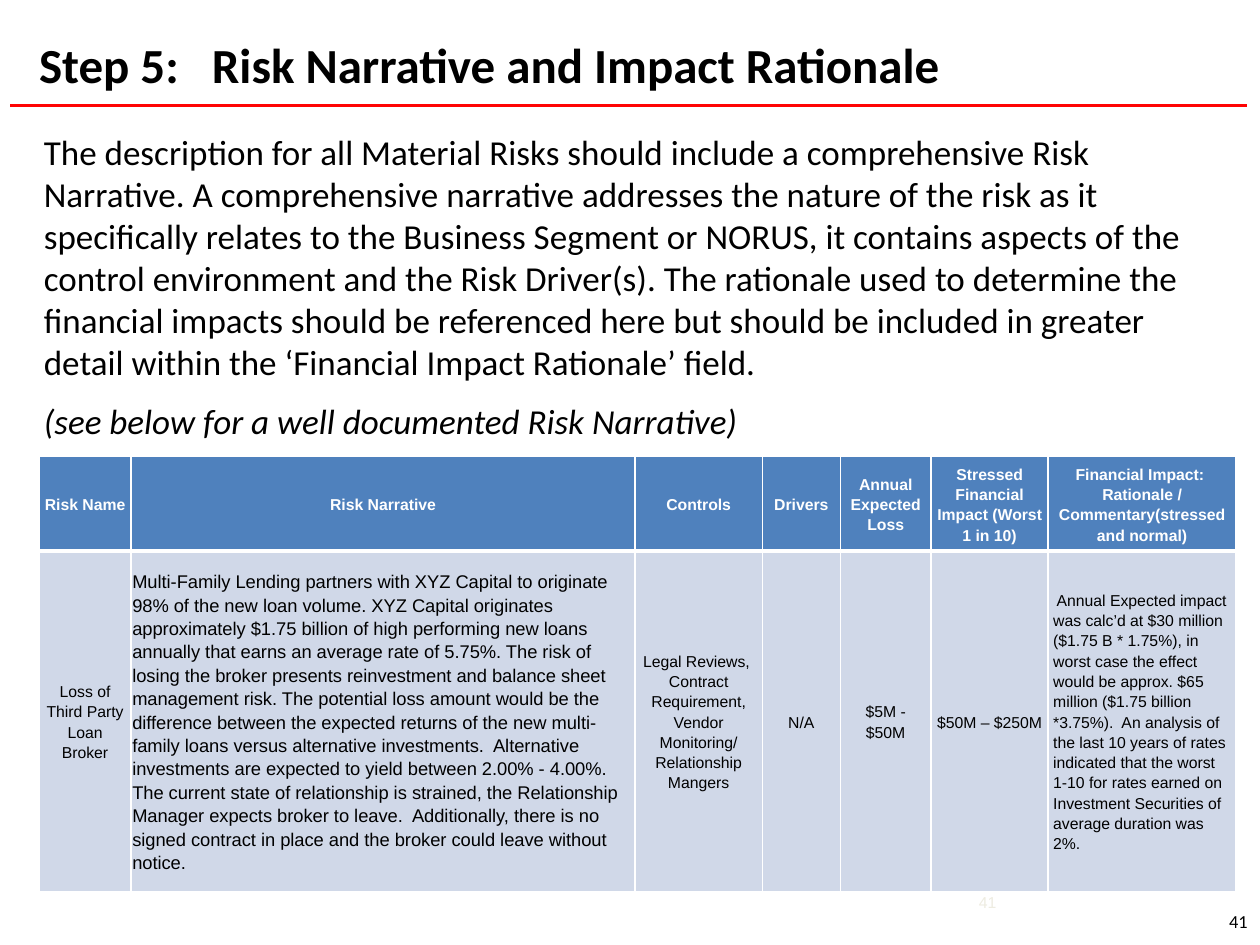
from dataclasses import dataclass

from lxml.etree import SubElement
from pptx import Presentation
from pptx.dml.color import RGBColor
from pptx.enum.shapes import MSO_CONNECTOR as Connector
from pptx.enum.text import MSO_ANCHOR as Anchor, MSO_AUTO_SIZE as AutoSize, PP_ALIGN as Align
from pptx.oxml.ns import qn
from pptx.util import Inches, Pt


@dataclass(frozen=True)
class Theme:
    black: str = "000000"
    white: str = "FFFFFF"
    rule: str = "FF0303"
    header: str = "4F81BD"
    body: str = "D0D8E8"
    faint: str = "EEECE1"
    heading_font: str = "Calibri"
    table_font: str = "Arial"
    title_size: float = 28
    text_size: float = 20
    narrative_size: float = 10.5
    cell_size: float = 9


THEME = Theme()
WIDTH, HEIGHT = 10, 7.5
TITLE_ONLY = 5
COLUMNS = (0.73, 4, 1.01, 0.62, 0.72, 0.93, 1.49)
ROWS = (0.73, 2.7)

INTRO = (
    "The description for all Material Risks should include a comprehensive Risk Narrative. "
    "A comprehensive narrative addresses the nature of the risk as it specifically relates to "
    "the Business Segment or NORUS, it contains aspects of the control environment and the Risk "
    "Driver(s). The rationale used to determine the financial impacts should be referenced here "
    "but should be included in greater detail within the ‘Financial Impact Rationale’ field."
)
HEADERS = (
    "Risk Name ", "Risk Narrative", "Controls", "Drivers", "Annual Expected Loss",
    "Stressed Financial Impact (Worst 1 in 10)",
    "Financial Impact:  Rationale / Commentary(stressed and normal)",
)
NARRATIVE = (
    "Multi-Family Lending partners with XYZ Capital to originate 98% of the new loan volume. "
    "XYZ Capital originates approximately $1.75 billion of high performing new loans annually "
    "that earns an average rate of 5.75%. The risk of losing the broker presents reinvestment "
    "and balance sheet management risk. The potential loss amount would be the difference "
    "between the expected returns of the new multi-family loans versus alternative investments.  "
    "Alternative investments are expected to yield between 2.00% - 4.00%.  The current state of "
    "relationship is strained, the Relationship Manager expects broker to leave.  Additionally, "
    "there is no signed contract in place and the broker could leave without notice. "
)
RATIONALE = (
    " Annual Expected impact was calc’d at $30 million ($1.75 B * 1.75%), in worst case the "
    "effect would be approx. $65 million ($1.75 billion *3.75%).  An analysis of the last 10 "
    "years of rates indicated that the worst 1-10 for rates earned on Investment Securities of "
    "average duration was 2%."
)
CONTROLS = "Legal Reviews, \nContract Requirement, Vendor Monitoring/ Relationship Mangers"
RISK = (
    ("Loss of Third Party Loan Broker", dict(after=10)),
    (NARRATIVE, dict(size=THEME.narrative_size, align=Align.LEFT, margin=0.01)),
    (CONTROLS, {}),
    ("N/A", dict(after=10)),
    ("$5M - $50M", dict(after=10)),
    ("$50M – $250M", dict(after=10)),
    (RATIONALE, dict(align=Align.LEFT)),
)


def write(paragraph, text, size=THEME.text_size, font=THEME.heading_font, color=THEME.black,
          bold=False, italic=False, align=Align.LEFT, before=0, after=0, spacing=1.0):
    paragraph.alignment = align
    paragraph.space_before, paragraph.space_after = Pt(before), Pt(after)
    paragraph.line_spacing = spacing
    run = paragraph.add_run()
    run.text = text
    run.font.size, run.font.name = Pt(size), font
    run.font.bold, run.font.italic = bold, italic
    run.font.color.rgb = RGBColor.from_string(color)


def place(left, top, width, height):
    return (Inches(left * WIDTH), Inches(top * HEIGHT),
            Inches(width * WIDTH), Inches(height * HEIGHT))


def add_title(slide, text):
    title = slide.shapes.title
    title.left, title.top, title.width, title.height = place(0.021, 0.03, 0.9, 0.045)
    frame = title.text_frame
    frame.auto_size, frame.vertical_anchor = AutoSize.NONE, Anchor.TOP
    write(frame.paragraphs[0], text, size=THEME.title_size, bold=True)


def add_rule(slide, left, right, top):
    line = slide.shapes.add_connector(
        Connector.STRAIGHT, Inches(left * WIDTH), Inches(top * HEIGHT),
        Inches(right * WIDTH), Inches(top * HEIGHT))
    line.line.color.rgb = RGBColor.from_string(THEME.rule)
    line.line.width = Pt(1.5)
    SubElement(line._element.spPr, qn("a:effectLst"))


def add_text(slide, box, paragraphs, anchor=Anchor.TOP):
    frame = slide.shapes.add_textbox(*place(*box)).text_frame
    frame.word_wrap, frame.vertical_anchor = True, anchor
    for index, (text, options) in enumerate(paragraphs):
        paragraph = frame.add_paragraph() if index else frame.paragraphs[0]
        write(paragraph, text, **options)


def set_borders(cell, top, bottom):
    properties = cell._tc.get_or_add_tcPr()
    for side, width in (("L", 1), ("R", 1), ("T", top), ("B", bottom)):
        line = SubElement(properties, qn(f"a:ln{side}"), w=str(Pt(width)))
        fill = SubElement(line, qn("a:solidFill"))
        SubElement(fill, qn("a:srgbClr"), val=THEME.white)


def fill_cell(cell, text, fill, borders, margin=0.04, **options):
    set_borders(cell, *borders)
    cell.fill.solid()
    cell.fill.fore_color.rgb = RGBColor.from_string(fill)
    cell.vertical_anchor = Anchor.MIDDLE
    cell.margin_left = cell.margin_right = cell.margin_top = cell.margin_bottom = Inches(margin)
    style = dict(size=THEME.cell_size, font=THEME.table_font, align=Align.CENTER, spacing=1.15)
    for index, part in enumerate(text.split("\n")):
        paragraph = cell.text_frame.add_paragraph() if index else cell.text_frame.paragraphs[0]
        write(paragraph, part, **(style | options))


def add_risk_table(slide, left, top):
    table = slide.shapes.add_table(
        len(ROWS), len(COLUMNS), Inches(left * WIDTH), Inches(top * HEIGHT),
        Inches(sum(COLUMNS)), Inches(sum(ROWS))).table
    for column, width in zip(table.columns, COLUMNS):
        column.width = Inches(width)
    for row, height in zip(table.rows, ROWS):
        row.height = Inches(height)
    for index, (header, (text, options)) in enumerate(zip(HEADERS, RISK)):
        fill_cell(table.cell(0, index), header, THEME.header, (1, 3), margin=0.03,
                  color=THEME.white, bold=True)
        fill_cell(table.cell(1, index), text, THEME.body, (3, 1), **options)


def main():
    presentation = Presentation()
    presentation.slide_width, presentation.slide_height = Inches(WIDTH), Inches(HEIGHT)
    slide = presentation.slides.add_slide(presentation.slide_layouts[TITLE_ONLY])
    add_rule(slide, 0.008, 0.99, 0.112)
    add_title(slide, "Step 5:   Risk Narrative and Impact Rationale")
    add_text(slide, (0.025, 0.131, 0.963, 0.351), (
        (INTRO, {}),
        ("(see below for a well documented Risk Narrative)", dict(italic=True, before=10)),
    ))
    add_risk_table(slide, 0.031, 0.483)
    add_text(slide, (0.767, 0.937, 0.06, 0.035), (
        ("41", dict(size=THEME.cell_size, font=THEME.table_font, color=THEME.faint)),
    ), anchor=Anchor.MIDDLE)
    add_text(slide, (0.767, 0.95, 0.233, 0.05), (
        ("41", dict(size=THEME.narrative_size, align=Align.RIGHT)),
    ), anchor=Anchor.MIDDLE)
    presentation.save("out.pptx")


main()
